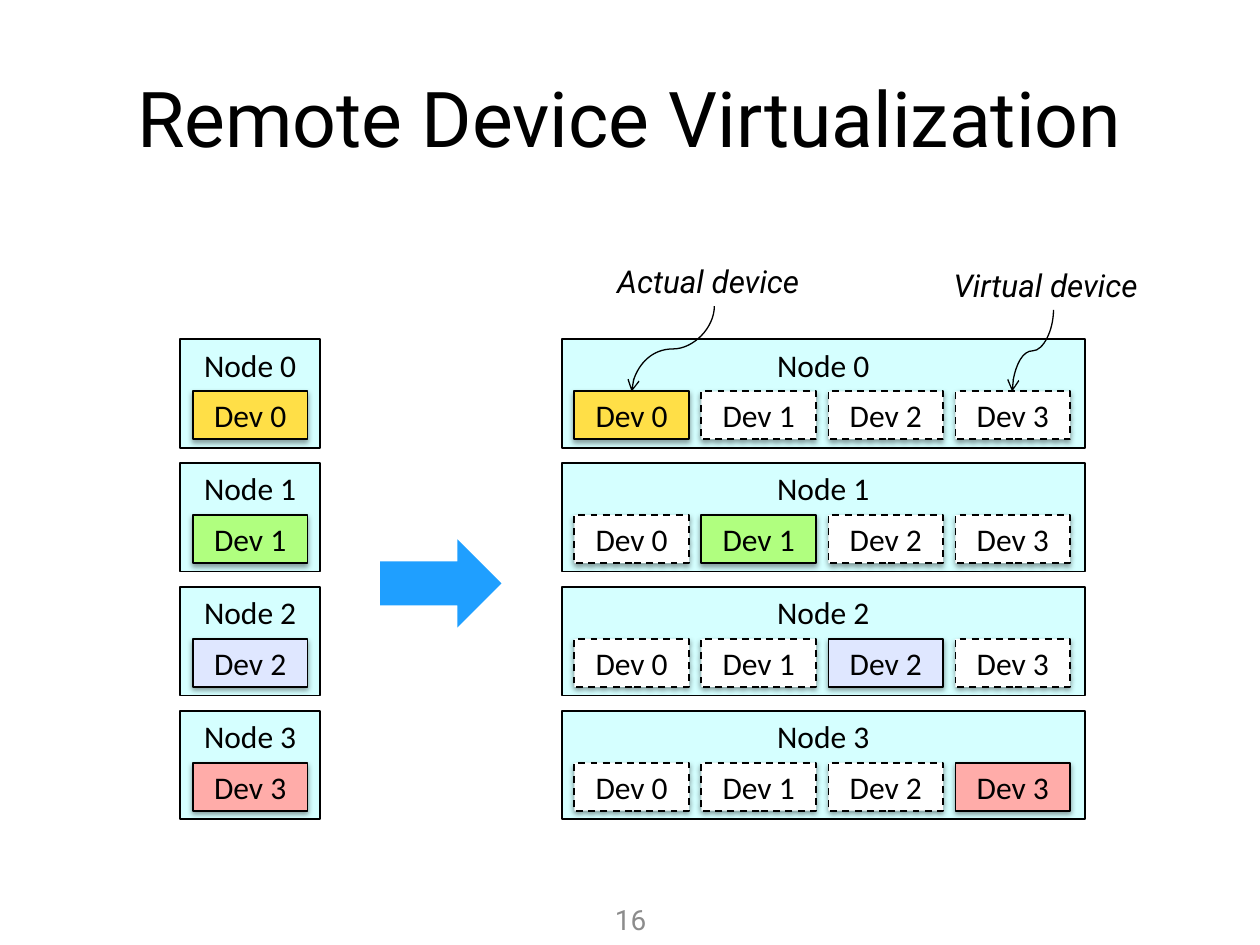
from pptx import Presentation
from pptx.dml.color import RGBColor
from pptx.enum.dml import MSO_LINE
from pptx.enum.shapes import MSO_CONNECTOR, MSO_SHAPE
from pptx.enum.text import MSO_ANCHOR, MSO_AUTO_SIZE, PP_ALIGN
from pptx.oxml import parse_xml
from pptx.oxml.ns import nsdecls
from pptx.util import Pt

COLORS = {"black": "000000", "white": "FFFFFF", "gray": "8C8C8C",
          "node": "D5FFFF", "arrow": "1F9FFF"}
DEVICE_COLORS = ["FFDF47", "B0FF7F", "DFE7FF", "FFACA9"]

# Layout in points
ROW_TOP, ROW_STEP, NODE_H = 193.9, 70.75, 62
LEFT_X, LEFT_W = 103, 80
RIGHT_X, RIGHT_W = 321, 299
DEV_DX, DEV_DY, DEV_STEP, DEV_W, DEV_H = 7.2, 29.7, 72.6, 65.6, 27.4


def write(tf, text, size=18, font="Calibri", color=COLORS["black"],
          italic=False, align=PP_ALIGN.CENTER, anchor=MSO_ANCHOR.MIDDLE):
    tf.vertical_anchor = anchor
    p = tf.paragraphs[0]
    p.alignment = align
    r = p.add_run()
    r.text = text
    r.font.size, r.font.name, r.font.italic = Pt(size), font, italic
    r.font.color.rgb = RGBColor.from_string(color)


class Deck:
    font = "Roboto"

    def __init__(self):
        self.prs = Presentation()
        self.prs.slide_width, self.prs.slide_height = Pt(720), Pt(540)
        self.s = self.prs.slides.add_slide(self.prs.slide_layouts[5])

    def title(self, text, x, y, w, h):
        sp = self.s.shapes.title
        sp.left, sp.top, sp.width, sp.height = Pt(x), Pt(y), Pt(w), Pt(h)
        write(sp.text_frame, text, size=44, font=self.font)

    def shape(self, kind, x, y, w, h, fill, outlined=True):
        sp = self.s.shapes.add_shape(kind, Pt(x), Pt(y), Pt(w), Pt(h))
        sp.shadow.inherit = False
        sp.fill.solid()
        sp.fill.fore_color.rgb = RGBColor.from_string(fill)
        if outlined:
            sp.line.width = Pt(1)
            sp.line.color.rgb = RGBColor.from_string(COLORS["black"])
        else:
            sp.line.fill.background()
        return sp

    def node(self, number, x, y, w):
        sp = self.shape(MSO_SHAPE.RECTANGLE, x, y, w, NODE_H, COLORS["node"])
        write(sp.text_frame, f"Node {number}", anchor=MSO_ANCHOR.TOP)

    def device(self, number, x, y, actual=True):
        fill = DEVICE_COLORS[number] if actual else COLORS["white"]
        sp = self.shape(MSO_SHAPE.RECTANGLE, x, y, DEV_W, DEV_H, fill)
        if not actual:
            sp.line.dash_style = MSO_LINE.DASH
        effects = sp._element.spPr.find("{*}effectLst")
        effects.append(parse_xml(
            f'<a:outerShdw {nsdecls("a")} blurRad="40000" dist="20000" '
            'dir="5400000" rotWithShape="0"><a:srgbClr val="000000">'
            '<a:alpha val="38000"/></a:srgbClr></a:outerShdw>'))
        write(sp.text_frame, f"Dev {number}")

    def label(self, text, x, y, w, h, wrap=False, **fmt):
        tf = self.s.shapes.add_textbox(Pt(x), Pt(y), Pt(w), Pt(h)).text_frame
        tf.word_wrap = wrap
        tf.auto_size = MSO_AUTO_SIZE.NONE if wrap else MSO_AUTO_SIZE.SHAPE_TO_FIT_TEXT
        write(tf, text, font=self.font, **fmt)

    def curve_down(self, x1, y1, x2, y2):
        """Curved arrow to the lower left, leaving and arriving vertically."""
        cx, cy = (x1 + x2) / 2, (y1 + y2) / 2
        half_w, half_h = (y2 - y1) / 2, (x1 - x2) / 2  # swapped by the quarter turn
        c = self.s.shapes.add_connector(
            MSO_CONNECTOR.CURVE, Pt(cx - half_w), Pt(cy - half_h),
            Pt(cx + half_w), Pt(cy + half_h))
        c.line.width = Pt(0.75)
        c.line.color.rgb = RGBColor.from_string(COLORS["black"])
        spPr = c._element.spPr
        spPr.find("{*}xfrm").set("rot", "5400000")
        spPr.find("{*}ln").append(
            parse_xml(f'<a:tailEnd {nsdecls("a")} type="arrow"/>'))
        spPr.append(parse_xml(f'<a:effectLst {nsdecls("a")}/>'))


def main():
    d = Deck()
    d.title("Remote Device Virtualization", 36, 21.6, 648, 90)

    # Each node alone on the left, sharing all devices on the right
    for row in range(4):
        y = ROW_TOP + row * ROW_STEP
        d.node(row, LEFT_X, y, LEFT_W)
        d.device(row, LEFT_X + DEV_DX, y + DEV_DY)
        d.node(row, RIGHT_X, y, RIGHT_W)
        for col in range(4):
            d.device(col, RIGHT_X + DEV_DX + col * DEV_STEP, y + DEV_DY,
                     actual=col == row)

    # Block arrow between the two sides
    d.shape(MSO_SHAPE.RIGHT_ARROW, 217.2, 308.2, 69.4, 50.4, COLORS["arrow"],
            outlined=False)

    # Callouts
    callout = dict(italic=True, align=PP_ALIGN.LEFT, anchor=MSO_ANCHOR.TOP)
    d.label("Actual device", 345.6, 146.2, 124.6, 28.8, **callout)
    d.curve_down(408.2, 175, 360.9, 223.8)
    d.label("Virtual device", 537.8, 148.5, 128.9, 28.8, **callout)
    d.curve_down(602, 177.1, 578.4, 223.8)

    # Page number
    d.label("16", 331.9, 511.2, 56.9, 28.8, wrap=True, size=16,
            color=COLORS["gray"])

    d.prs.save("out.pptx")


if __name__ == "__main__":
    main()
